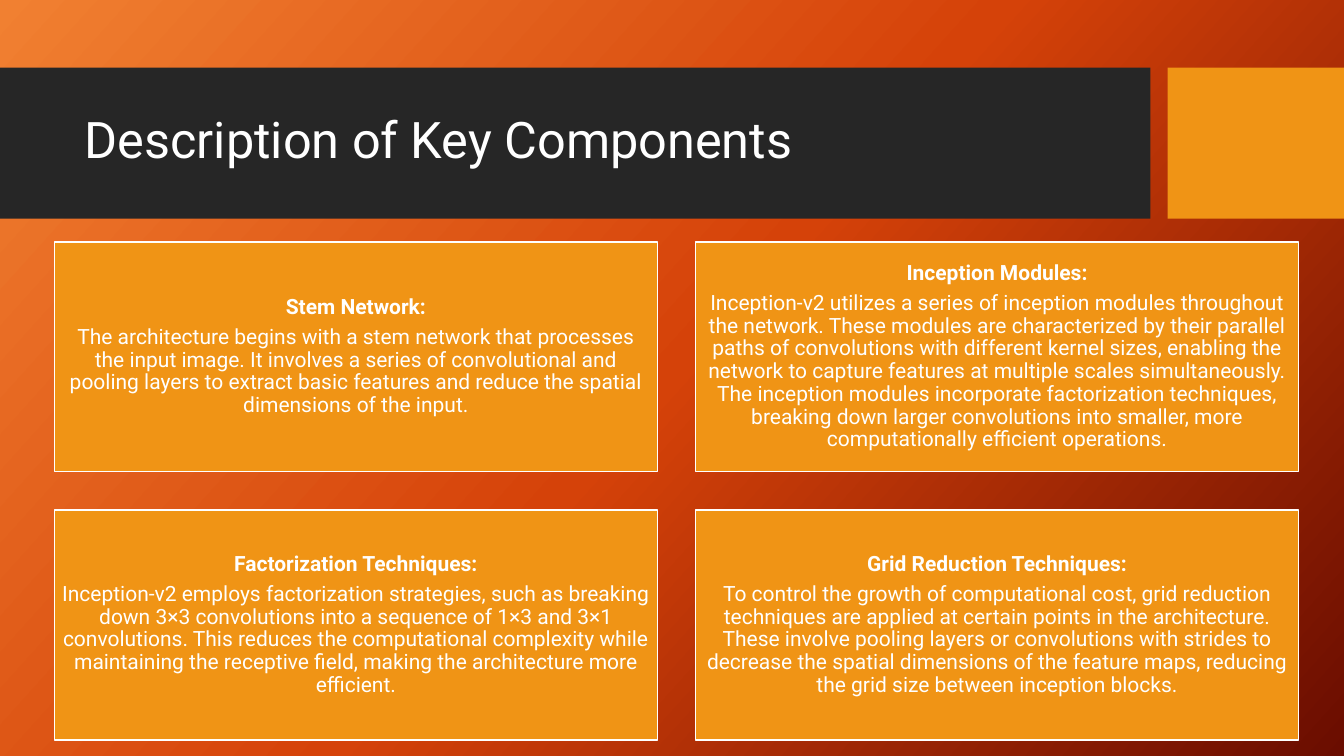
import copy

import pptx
import pptx.dml.color
import pptx.enum.shapes
import pptx.enum.text
import pptx.oxml.ns
import pptx.util

COLORS = {
    "band": "262626",
    "accent": "F09415",
    "text": "FFFFFF",
    "glow": "F18031",
    "ember": "D54209",
    "dark": "6A0D00",
}
COMPONENTS = [
    ("Stem Network:",
     "The architecture begins with a stem network that processes the input image. "
     "It involves a series of convolutional and pooling layers to extract basic "
     "features and reduce the spatial dimensions of the input."),
    ("Inception Modules:",
     "Inception-v2 utilizes a series of inception modules throughout the network. "
     "These modules are characterized by their parallel paths of convolutions with "
     "different kernel sizes, enabling the network to capture features at multiple "
     "scales simultaneously. The inception modules incorporate factorization "
     "techniques, breaking down larger convolutions into smaller, more "
     "computationally efficient operations."),
    ("Factorization Techniques:",
     "Inception-v2 employs factorization strategies, such as breaking down 3×3 "
     "convolutions into a sequence of 1×3 and 3×1 convolutions. This reduces the "
     "computational complexity while maintaining the receptive field, making the "
     "architecture more efficient."),
    ("Grid Reduction Techniques:",
     "To control the growth of computational cost, grid reduction techniques are "
     "applied at certain points in the architecture. These involve pooling layers "
     "or convolutions with strides to decrease the spatial dimensions of the "
     "feature maps, reducing the grid size between inception blocks."),
]


class Deck:
    WIDTH, HEIGHT = 13.33, 7.5
    FONT = "Roboto"
    GRID_LEFT, GRID_TOP = 0.54, 2.4
    CARD_WIDTH, CARD_HEIGHT, GAP = 5.98, 2.28, 0.38
    CARD_INSET, CARD_SIZE = 0.06, 15

    def __init__(self):
        self.presentation = pptx.Presentation()
        self.presentation.slide_width = pptx.util.Inches(self.WIDTH)
        self.presentation.slide_height = pptx.util.Inches(self.HEIGHT)
        self.slide = self.presentation.slides.add_slide(self.presentation.slide_layouts[6])

    def color(self, name):
        return pptx.dml.color.RGBColor.from_string(COLORS[name])

    def backdrop(self, *names, angle):
        """Fill the background with evenly spaced stops, angle clockwise."""
        fill = self.slide.background.fill
        fill.gradient()
        fill.gradient_angle = 360 - angle
        first = next(self.slide.element.iter(pptx.oxml.ns.qn("a:gs")))
        for _ in range(len(names) - len(fill.gradient_stops)):
            first.addnext(copy.deepcopy(first))
        for index, (stop, name) in enumerate(zip(fill.gradient_stops, names)):
            stop.position = index / (len(names) - 1)
            stop.color.rgb = self.color(name)

    def block(self, left, top, width, height, fill, outline=None):
        block = self.slide.shapes.add_shape(
            pptx.enum.shapes.MSO_SHAPE.RECTANGLE,
            *map(pptx.util.Inches, (left, top, width, height)))
        block.shadow.inherit = False
        block.fill.solid()
        block.fill.fore_color.rgb = self.color(fill)
        if outline:
            block.line.color.rgb = self.color(outline)
            block.line.width = pptx.util.Pt(1)
        else:
            block.line.fill.background()
        return block

    def style(self, paragraph, size, bold=False):
        paragraph.line_spacing = 0.9
        paragraph.font.name = self.FONT
        paragraph.font.size = pptx.util.Pt(size)
        paragraph.font.bold = bold
        paragraph.font.color.rgb = self.color("text")

    def title(self, wording, left, top, width, height):
        frame = self.slide.shapes.add_textbox(
            *map(pptx.util.Inches, (left, top, width, height))).text_frame
        frame.word_wrap = True
        frame.vertical_anchor = pptx.enum.text.MSO_ANCHOR.MIDDLE
        frame.text = wording
        self.style(frame.paragraphs[0], 36)

    def card(self, column, row, heading, description):
        frame = self.block(
            self.GRID_LEFT + column * (self.CARD_WIDTH + self.GAP),
            self.GRID_TOP + row * (self.CARD_HEIGHT + self.GAP),
            self.CARD_WIDTH, self.CARD_HEIGHT, "accent", "text").text_frame
        frame.word_wrap = True
        frame.vertical_anchor = pptx.enum.text.MSO_ANCHOR.MIDDLE
        frame.margin_left = frame.margin_right = pptx.util.Inches(self.CARD_INSET)
        frame.margin_top = frame.margin_bottom = pptx.util.Inches(self.CARD_INSET)
        frame.text = f"{heading}\n{description}"
        for index, paragraph in enumerate(frame.paragraphs):
            paragraph.alignment = pptx.enum.text.PP_ALIGN.CENTER
            paragraph.space_after = pptx.util.Pt(0.35 * self.CARD_SIZE)
            self.style(paragraph, self.CARD_SIZE, bold=index == 0)


def main():
    deck = Deck()
    deck.backdrop("glow", "ember", "dark", angle=42)
    deck.block(0, 0.67, 11.41, 1.5, "band")
    deck.block(11.58, 0.67, 1.75, 1.5, "accent")
    deck.title("Description of Key Components", 0.74, 0.82, 10.51, 1.18)
    for index, (heading, description) in enumerate(COMPONENTS):
        row, column = divmod(index, 2)
        deck.card(column, row, heading, description)
    deck.presentation.save("out.pptx")


if __name__ == "__main__":
    main()
